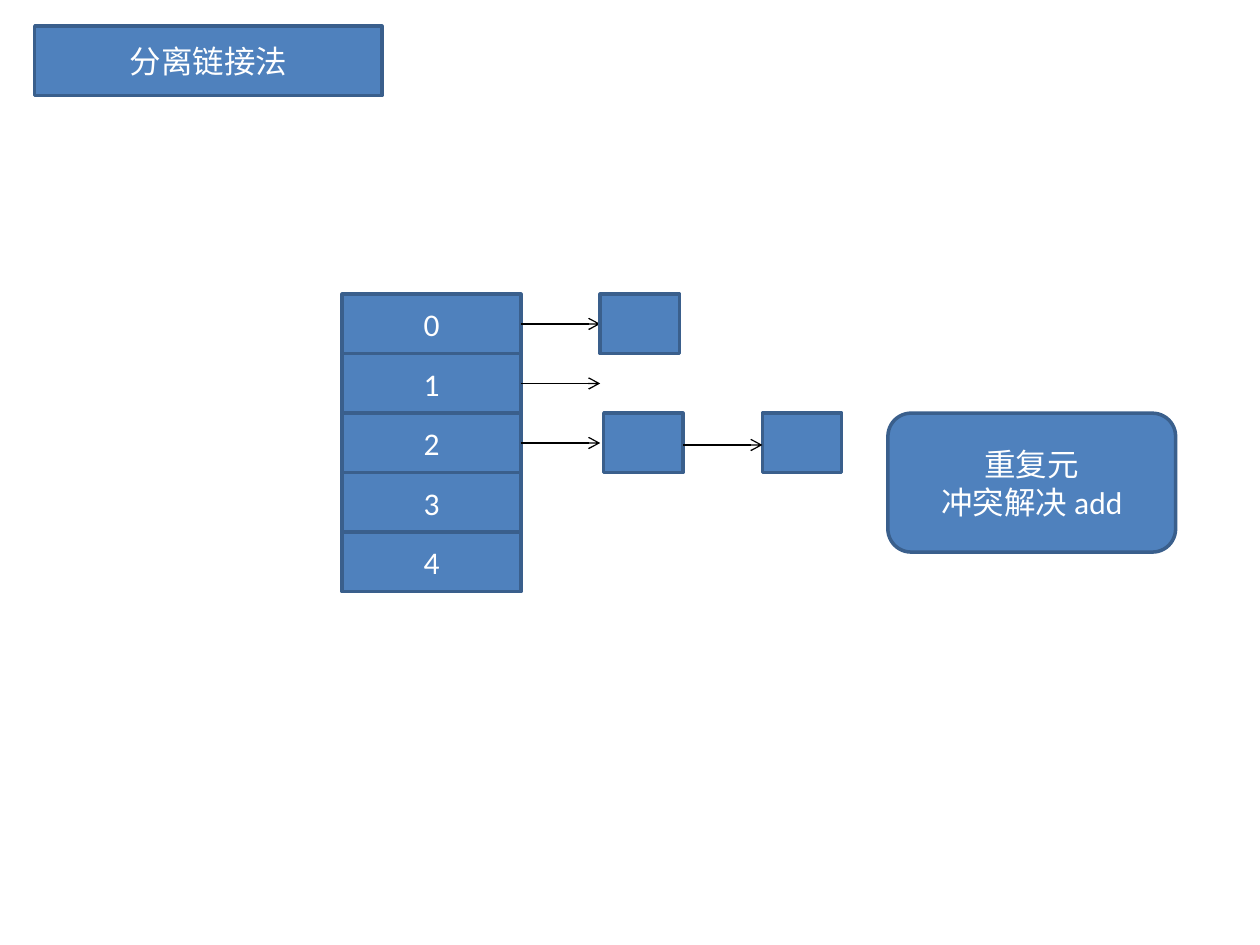
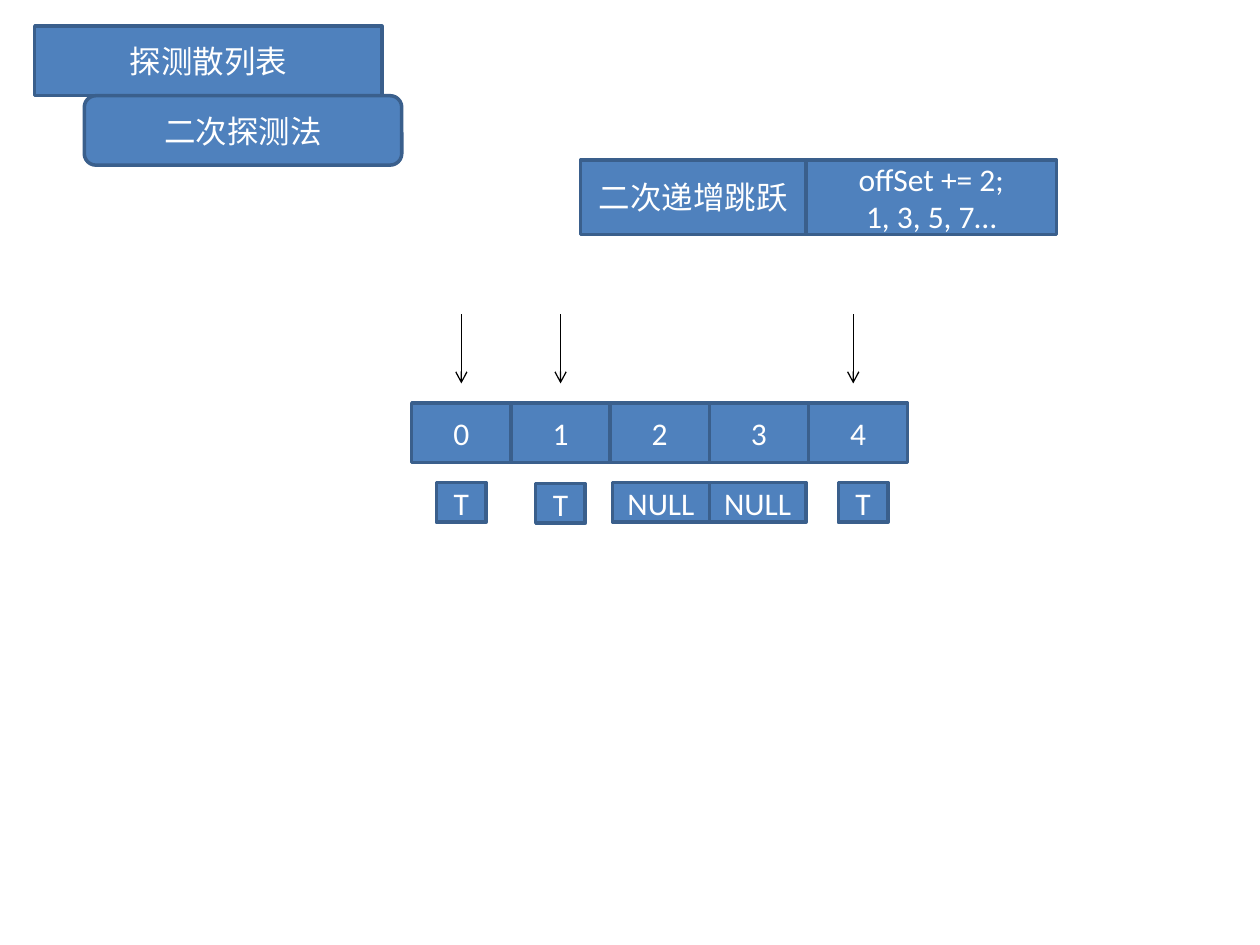
from dataclasses import dataclass

from lxml.etree import SubElement
from pptx import Presentation
from pptx.dml.color import RGBColor
from pptx.enum.shapes import MSO_CONNECTOR, MSO_SHAPE
from pptx.enum.text import MSO_ANCHOR, PP_ALIGN
from pptx.oxml.ns import qn
from pptx.util import Cm, Pt


@dataclass(frozen=True)
class Theme:
    """Colours, type and line sizes shared by the slides."""
    fill: RGBColor = RGBColor(0x4F, 0x81, 0xBD)
    border: RGBColor = RGBColor(0x3A, 0x5F, 0x8C)
    text: RGBColor = RGBColor(0xFF, 0xFF, 0xFF)
    arrow: RGBColor = RGBColor(0x00, 0x00, 0x00)
    font: str = "Calibri"
    text_size: Pt = Pt(18)
    border_width: Pt = Pt(2)
    arrow_width: Pt = Pt(0.75)


THEME = Theme()


def add_box(slide, left, top, width, height, lines=(), kind=MSO_SHAPE.RECTANGLE):
    """Add a filled box with one centred paragraph per line; lengths in cm."""
    shape = slide.shapes.add_shape(kind, Cm(left), Cm(top), Cm(width), Cm(height))
    shape.shadow.inherit = False
    shape.fill.solid()
    shape.fill.fore_color.rgb = THEME.fill
    shape.line.color.rgb = THEME.border
    shape.line.width = THEME.border_width
    frame = shape.text_frame
    frame.word_wrap = True
    frame.vertical_anchor = MSO_ANCHOR.MIDDLE
    for index, line in enumerate(lines):
        paragraph = frame.add_paragraph() if index else frame.paragraphs[0]
        paragraph.alignment = PP_ALIGN.CENTER
        run = paragraph.add_run()
        run.text = line
        run.font.name = THEME.font
        run.font.size = THEME.text_size
        run.font.color.rgb = THEME.text


def add_arrow(slide, start_x, start_y, end_x, end_y):
    """Add a thin straight arrow with an open head at its end."""
    connector = slide.shapes.add_connector(
        MSO_CONNECTOR.STRAIGHT, Cm(start_x), Cm(start_y), Cm(end_x), Cm(end_y))
    connector.line.color.rgb = THEME.arrow
    connector.line.width = THEME.arrow_width
    properties = connector.element.spPr
    SubElement(properties.find(qn("a:ln")), qn("a:tailEnd"), type="arrow")
    SubElement(properties, qn("a:effectLst"))


def add_cells(slide, left, top, width, height, step_x=0, step_y=0, count=5):
    """Add the numbered cells of a hash table, one step apart."""
    for index in range(count):
        add_box(slide, left + index * step_x, top + index * step_y,
                width, height, [str(index)])


def add_titled_slide(presentation, title):
    """Add a blank slide with the title box at the top left."""
    slide = presentation.slides.add_slide(presentation.slide_layouts[6])
    add_box(slide, 0.7, 0.53, 7, 1.4, [title])
    return slide


def build_separate_chaining(presentation):
    """Draw a column of buckets, each pointing to its linked nodes."""
    slide = add_titled_slide(presentation, "分离链接法")
    left, top, width, row = 6.9, 5.93, 3.6, 1.2
    node_width, arrow_length = 1.6, 1.6
    add_cells(slide, left, top, width, row, step_y=row)

    arrow_start = left + width
    first_node = arrow_start + arrow_length
    for index in range(3):
        middle = top + (index + 0.5) * row
        add_arrow(slide, arrow_start, middle, first_node, middle)
    add_box(slide, first_node, top, node_width, row)

    chain_left, chain_top = 12.17, top + 2 * row
    link_start = chain_left + node_width
    second_node = link_start + arrow_length
    for node_left in (chain_left, second_node):
        add_box(slide, node_left, chain_top, node_width, row)
    add_arrow(slide, link_start, 8.97, second_node, 8.97)
    add_box(slide, 17.9, chain_top, 5.8, 2.8, ["重复元", "冲突解决 add"],
            MSO_SHAPE.ROUNDED_RECTANGLE)


def build_quadratic_probing(presentation):
    """Draw a row of slots, their contents and the probed positions."""
    slide = add_titled_slide(presentation, "探测散列表")
    add_cells(slide, 8.3, 8.13, 2, 1.2, step_x=2)
    add_box(slide, 1.7, 1.93, 6.4, 1.4, ["二次探测法"], MSO_SHAPE.ROUNDED_RECTANGLE)

    contents = [("T", 8.8, 9.73, 1), ("T", 10.8, 9.75, 1),
                ("NULL", 12.35, 9.73, 1.95), ("NULL", 14.3, 9.73, 1.95),
                ("T", 16.9, 9.73, 1)]
    for text, left, top, width in contents:
        add_box(slide, left, top, width, 0.8, [text])
    for probe_x in (9.3, 11.3, 17.2):
        add_arrow(slide, probe_x, 6.33, probe_x, 7.73)

    add_box(slide, 11.7, 3.23, 4.55, 1.5, ["二次递增跳跃"])
    add_box(slide, 16.25, 3.23, 5.05, 1.5, ["offSet += 2;", "1, 3, 5, 7…"])


def main():
    """Build both slides and save the presentation."""
    presentation = Presentation()
    presentation.slide_width = Cm(25.4)
    presentation.slide_height = Cm(19.05)
    build_separate_chaining(presentation)
    build_quadratic_probing(presentation)
    presentation.save("out.pptx")


main()
